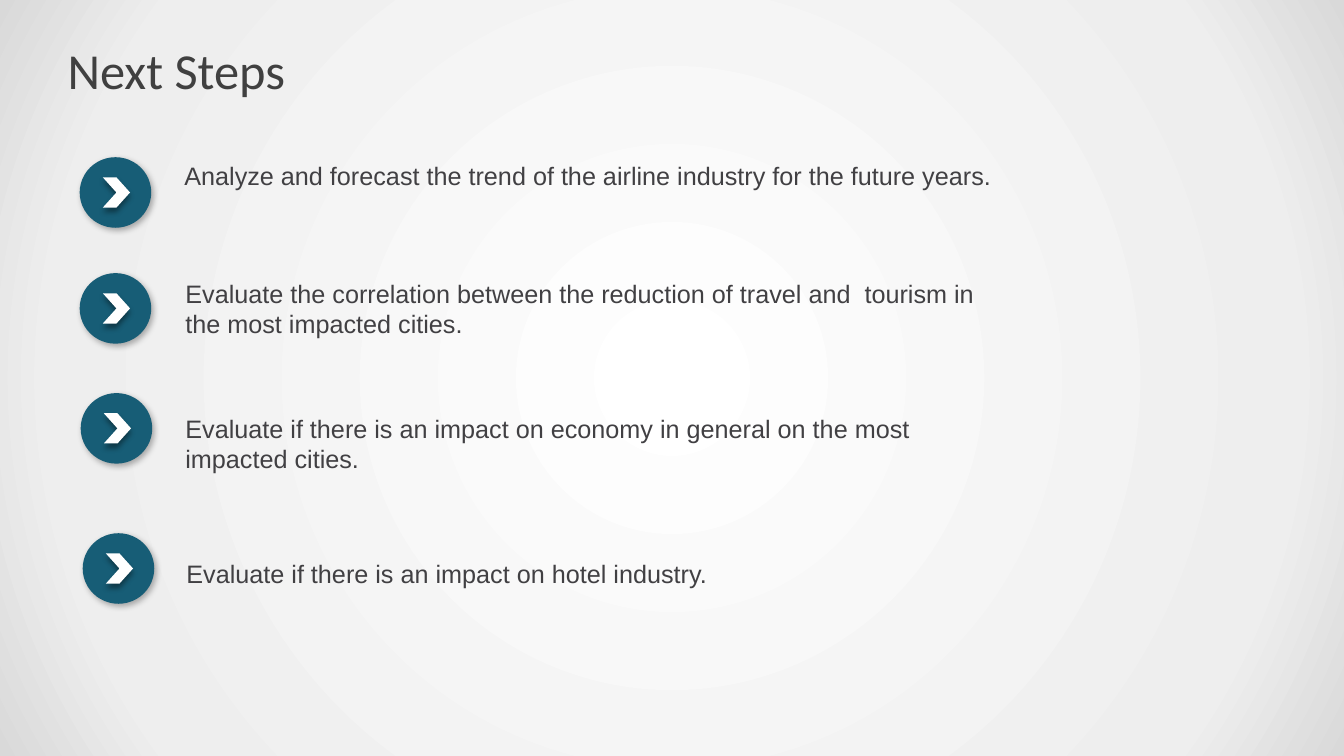
from dataclasses import dataclass

import lxml.etree
import pptx
import pptx.dml.color
import pptx.enum.shapes
import pptx.enum.text
import pptx.oxml
import pptx.oxml.ns
import pptx.util

Inches = pptx.util.Inches
Shapes = pptx.enum.shapes.MSO_SHAPE
Anchor = pptx.enum.text.MSO_ANCHOR

TEAL, WHITE, BLACK = "175D76", "FFFFFF", "000000"
TITLE_COLOUR, TEXT_COLOUR = "404040", "414043"


@dataclass
class Shadow:
    alpha: int
    blur: float
    distance: float
    angle: int


@dataclass
class Step:
    text: str
    icon_left: float
    icon_top: float
    text_left: float
    text_top: float
    text_height: float


DISC_SHADOW = Shadow(alpha=30, blur=4.5, distance=2.6, angle=53)
CHEVRON_SHADOW = Shadow(alpha=40, blur=4, distance=3, angle=90)

STEPS = [
    Step("Analyze and forecast the trend of the airline industry for the future years.",
         0.79, 1.56, 1.73, 1.54, 0.4),
    Step("Evaluate the correlation between the reduction of travel and  tourism in "
         "the most impacted cities.", 0.79, 2.71, 1.74, 2.71, 0.71),
    Step("Evaluate if there is an impact on economy in general on the most impacted cities.",
         0.8, 3.9, 1.74, 4.05, 0.71),
    Step("Evaluate if there is an impact on hotel industry.", 0.82, 5.29, 1.75, 5.49, 0.4),
]


def colour(value: str) -> pptx.dml.color.RGBColor:
    return pptx.dml.color.RGBColor.from_string(value)


def set_background(slide, stops: list[tuple[int, str]]) -> None:
    """Fill the slide with a circular gradient spreading from its centre."""
    slide.background.fill.solid()
    solid = slide.element.xpath("p:cSld/p:bg/p:bgPr/a:solidFill")[0]
    stop_xml = "".join(
        f'<a:gs pos="{position * 1000}"><a:srgbClr val="{value}"/></a:gs>'
        for position, value in stops)
    gradient = pptx.oxml.parse_xml(
        f'<a:gradFill {pptx.oxml.ns.nsdecls("a")} rotWithShape="1">'
        f'<a:gsLst>{stop_xml}</a:gsLst><a:path path="circle">'
        '<a:fillToRect l="50000" t="50000" r="50000" b="50000"/></a:path></a:gradFill>')
    solid.getparent().replace(solid, gradient)


def add_shadow(shape, shadow: Shadow) -> None:
    shape.shadow.inherit = False
    effects = shape.element.spPr.find(pptx.oxml.ns.qn("a:effectLst"))
    outer = lxml.etree.SubElement(
        effects, pptx.oxml.ns.qn("a:outerShdw"),
        blurRad=str(pptx.util.Pt(shadow.blur)), dist=str(pptx.util.Pt(shadow.distance)),
        dir=str(shadow.angle * 60000), algn="ctr", rotWithShape="0")
    tint = lxml.etree.SubElement(outer, pptx.oxml.ns.qn("a:srgbClr"), val=BLACK)
    lxml.etree.SubElement(tint, pptx.oxml.ns.qn("a:alpha"), val=str(shadow.alpha * 1000))


def add_shape(shapes, kind, left: float, top: float, width: float, height: float,
              fill: str, shadow: Shadow) -> None:
    shape = shapes.add_shape(kind, Inches(left), Inches(top), Inches(width), Inches(height))
    shape.fill.solid()
    shape.fill.fore_color.rgb = colour(fill)
    shape.line.fill.background()
    add_shadow(shape, shadow)


def add_text(slide, text: str, *, left: float, top: float, width: float, height: float,
             size: int, font: str, font_colour: str, anchor=Anchor.TOP,
             side_margin: float = 0.1, end_margin: float = 0.05) -> None:
    box = slide.shapes.add_textbox(Inches(left), Inches(top), Inches(width), Inches(height))
    frame = box.text_frame
    frame.word_wrap = True
    frame.vertical_anchor = anchor
    frame.margin_left = frame.margin_right = Inches(side_margin)
    frame.margin_top = frame.margin_bottom = Inches(end_margin)
    run = frame.paragraphs[0].add_run()
    run.text = text
    run.font.size = pptx.util.Pt(size)
    run.font.name = font
    run.font.color.rgb = colour(font_colour)


def add_step(slide, step: Step) -> None:
    icon = slide.shapes.add_group_shape()
    add_shape(icon.shapes, Shapes.OVAL, step.icon_left, step.icon_top, 0.71, 0.7,
              TEAL, DISC_SHADOW)
    add_shape(icon.shapes, Shapes.CHEVRON, step.icon_left + 0.23, step.icon_top + 0.2,
              0.27, 0.3, WHITE, CHEVRON_SHADOW)
    add_text(slide, step.text, left=step.text_left, top=step.text_top, width=8.35,
             height=step.text_height, size=18, font="Arial", font_colour=TEXT_COLOUR)


presentation = pptx.Presentation()
presentation.slide_width = Inches(13.33)
presentation.slide_height = Inches(7.5)
slide = presentation.slides.add_slide(presentation.slide_layouts[6])

# Background and title
set_background(slide, [(0, WHITE), (81, "EEEEEE"), (100, "D9D9D9")])
add_text(slide, "Next Steps", left=0.67, top=0.3, width=12, height=0.78, size=36,
         font="Calibri", font_colour=TITLE_COLOUR, anchor=Anchor.MIDDLE,
         side_margin=0, end_margin=0.07)

# Steps with chevron icons
for step in STEPS:
    add_step(slide, step)

presentation.save("out.pptx")
